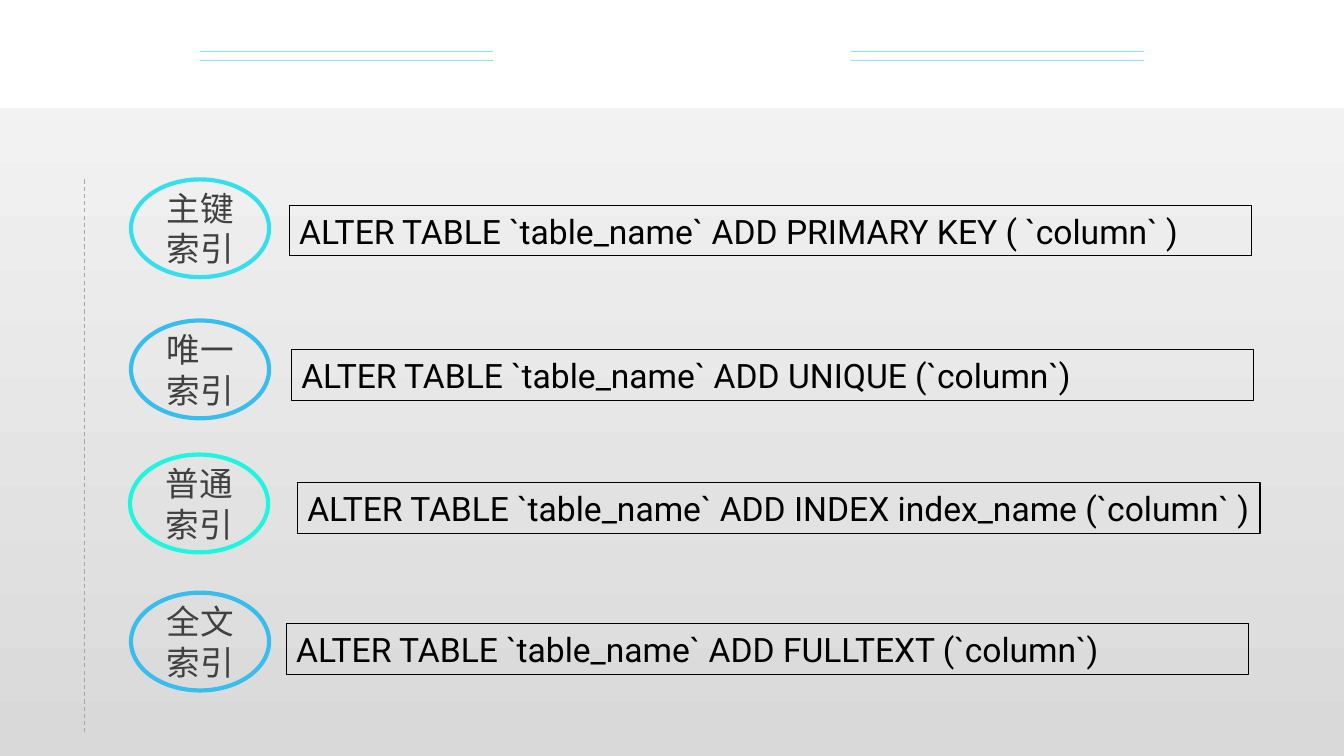
from collections import namedtuple

from lxml.etree import SubElement
from pptx import Presentation
from pptx.dml.color import RGBColor
from pptx.enum.dml import MSO_LINE
from pptx.enum.shapes import MSO_CONNECTOR, MSO_SHAPE
from pptx.enum.text import MSO_ANCHOR, MSO_AUTO_SIZE, PP_ALIGN
from pptx.oxml.ns import qn
from pptx.util import Inches, Pt

COLORS = {
    "white": "FFFFFF", "panel_low": "D9D9D9", "panel_high": "F2F2F2",
    "sky": "39BDED", "cyan": "37DFEA", "mint": "1EF6DF",
    "label": "404040", "divider": "A6A6A6", "black": "000000",
}
CELL = Inches(0.1)
COLUMNS, ROWS = 133.33, 75
Box = namedtuple("Box", "left top width height")

HEADER = Box(0, 0, COLUMNS, 10.7)
BODY = Box(0, 10.7, COLUMNS, ROWS - 10.7)
BADGE_SIZE = (13.7, 9.7)
STATEMENT_SIZE = (95.5, 5)
INDEXES = [
    ("主键索引", "cyan", (13, 7.1),
     "ALTER TABLE `table_name` ADD PRIMARY KEY ( `column` )", (28.7, 9.7)),
    ("唯一索引", "sky", (13, 21.1),
     "ALTER TABLE `table_name` ADD UNIQUE (`column`)", (28.9, 24)),
    ("普通索引", "mint", (12.9, 34.4),
     "ALTER TABLE `table_name` ADD INDEX index_name (`column` )", (29.5, 37.2)),
    ("全文索引", "sky", (13, 48.1),
     "ALTER TABLE `table_name` ADD FULLTEXT (`column`)", (28.4, 51.2)),
]
BADGE_FRAME = {
    "word_wrap": True, "vertical_anchor": MSO_ANCHOR.MIDDLE,
    "margin_left": 0, "margin_right": 0, "margin_top": 0, "margin_bottom": 0,
}
STATEMENT_FRAME = {
    "word_wrap": True, "vertical_anchor": MSO_ANCHOR.TOP,
    "auto_size": MSO_AUTO_SIZE.SHAPE_TO_FIT_TEXT,
}


def rgb(name):
    """Return the named colour."""
    return RGBColor.from_string(COLORS[name])


def cells(*counts):
    """Convert grid counts to slide lengths."""
    return [round(count * CELL) for count in counts]


def apply_format(target, values):
    """Set each attribute in values on the target."""
    for name, value in values.items():
        setattr(target, name, value)


def add_outline(page, kind, box, color, weight):
    """Add an unfilled shape with a coloured outline."""
    shape = page.shapes.add_shape(kind, *cells(*box))
    shape.shadow.inherit = False
    shape.fill.background()
    shape.line.color.rgb = rgb(color)
    shape.line.width = Pt(weight)
    return shape


def write_text(shape, text, frame_format, alignment, font, color):
    """Write one formatted paragraph into a shape."""
    apply_format(shape.text_frame, frame_format)
    para = shape.text_frame.paragraphs[0]
    para.alignment = alignment
    span = para.add_run()
    span.text = text
    apply_format(span.font, {"name": font, "size": Pt(24)})
    span.font.color.rgb = rgb(color)


def add_rule(page, start, end, color):
    """Add a thin straight line without a shadow."""
    rule = page.shapes.add_connector(MSO_CONNECTOR.STRAIGHT, *cells(*start, *end))
    rule.line.color.rgb = rgb(color)
    rule.line.width = Pt(0.75)
    SubElement(rule.line._get_or_add_ln().getparent(), qn("a:effectLst"))
    return rule


def add_header(page, box):
    """Draw a pair of translucent rules on each side of the header."""
    for left in (19.8, 84.4):
        for top in (5.1, 6):
            x, y = box.left + left, box.top + top
            rule = add_rule(page, (x + 29.1, y), (x, y), "sky")
            color = next(rule.line._get_or_add_ln().iter(qn("a:srgbClr")))
            SubElement(color, qn("a:alpha"), val="50000")


def add_panel(page, box):
    """Fill the body with a vertical grey gradient."""
    panel = page.shapes.add_shape(MSO_SHAPE.RECTANGLE, *cells(*box))
    panel.shadow.inherit = False
    panel.line.fill.background()
    panel.fill.gradient()
    panel.fill.gradient_angle = 90
    for stop, color in zip(panel.fill.gradient_stops, ("panel_low", "panel_high")):
        stop.color.rgb = rgb(color)


def add_index(page, box, label, color, badge_at, statement, statement_at):
    """Place an index badge and its SQL statement in the body."""
    regions = [
        Box(box.left + left, box.top + top, *size)
        for (left, top), size in ((badge_at, BADGE_SIZE), (statement_at, STATEMENT_SIZE))
    ]
    badge = add_outline(page, MSO_SHAPE.OVAL, regions[0], color, 3)
    write_text(badge, label, BADGE_FRAME, PP_ALIGN.CENTER, "TeX Gyre Adventor", "label")
    field = add_outline(page, MSO_SHAPE.RECTANGLE, regions[1], "black", 0.75)
    write_text(field, statement, STATEMENT_FRAME, PP_ALIGN.LEFT, "Roboto", "black")


def add_body(page, box):
    """Draw the panel, dashed divider and index rows."""
    add_panel(page, box)
    x = box.left + 8.4
    divider = add_rule(page, (x, box.top + 7.1), (x, box.top + 62.2), "divider")
    divider.line.dash_style = MSO_LINE.DASH
    for index in INDEXES:
        add_index(page, box, *index)


def main():
    """Build and save the deck."""
    deck = Presentation()
    deck.slide_width, deck.slide_height = cells(COLUMNS, ROWS)
    page = deck.slides.add_slide(deck.slide_layouts[6])
    page.background.fill.solid()
    page.background.fill.fore_color.rgb = rgb("white")
    add_header(page, HEADER)
    add_body(page, BODY)
    deck.save("out.pptx")


if __name__ == "__main__":
    main()
